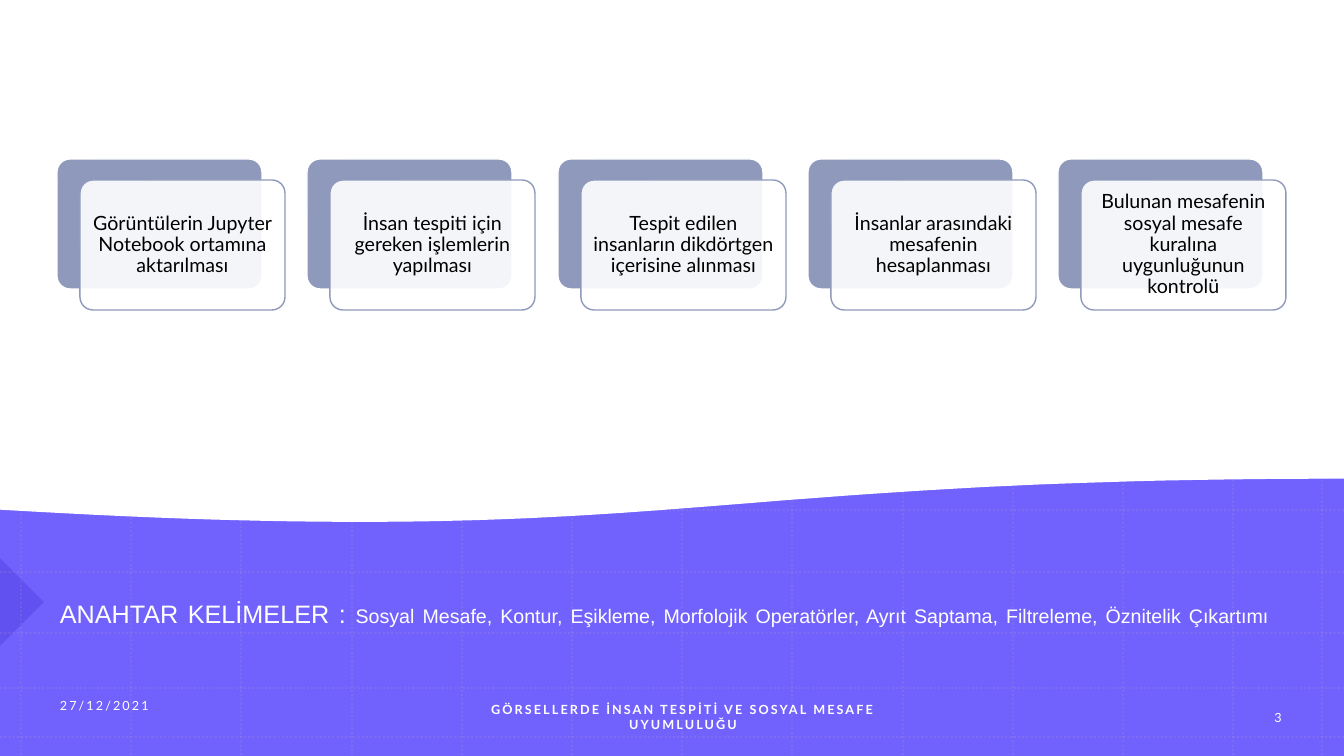
from lxml.etree import SubElement
from pptx import Presentation
from pptx.dml.color import RGBColor
from pptx.enum.dml import MSO_LINE
from pptx.enum.shapes import MSO_CONNECTOR, MSO_SHAPE
from pptx.enum.text import MSO_ANCHOR, PP_ALIGN
from pptx.oxml.ns import qn
from pptx.util import Emu, Pt

COLORS = {
    "violet": "7162FE",
    "navy": "1201AF",
    "grid": "B495C2",
    "slate": "8F99BB",
    "white": "FFFFFF",
    "black": "000000",
}
WIDTH, HEIGHT = 1344, 756
CARD_WIDTH, CARD_HEIGHT, CARD_PITCH = 205, 130, 250.3
STEPS = [
    "Görüntülerin Jupyter Notebook ortamına aktarılması",
    "İnsan tespiti için gereken işlemlerin yapılması",
    "Tespit edilen insanların dikdörtgen içerisine alınması",
    "İnsanlar arasındaki mesafenin hesaplanması",
    "Bulunan mesafenin sosyal mesafe kuralına uygunluğunun kontrolü",
]
KEYWORDS = ("Sosyal Mesafe, Kontur, Eşikleme, Morfolojik Operatörler, "
            "Ayrıt Saptama, Filtreleme, Öznitelik Çıkartımı\v")


class SlidePainter:
    scale = 914400 / 100.8
    font = "Lato"

    def __init__(self, slide):
        self.slide = slide

    def px(self, length):
        return Emu(round(length * self.scale))

    def color(self, name):
        return RGBColor.from_string(COLORS[name])

    def paint(self, fill_format, name, opacity=100):
        fill_format.solid()
        fill_format.fore_color.rgb = self.color(name)
        if opacity < 100:
            tint = fill_format._xPr.find(qn("a:solidFill"))[0]
            SubElement(tint, qn("a:alpha"), val=str(opacity * 1000))

    def style(self, shape, fill, opacity=100, line=None):
        shape.shadow.inherit = False
        self.paint(shape.fill, fill, opacity)
        if line:
            self.paint(shape.line.fill, line)
            shape.line.width = Pt(1)
        else:
            shape.line.fill.background()
        return shape

    def shape(self, kind, box, fill, opacity=100, line=None):
        shape = self.slide.shapes.add_shape(kind, *map(self.px, box))
        return self.style(shape, fill, opacity, line)

    def grid_line(self, x1, y1, x2, y2):
        rule = self.slide.shapes.add_connector(
            MSO_CONNECTOR.STRAIGHT, *map(self.px, (x1, y1, x2, y2)))
        self.paint(rule.line.fill, "grid", 20)
        rule.line.width = Pt(1.5)
        rule.line.dash_style = MSO_LINE.ROUND_DOT
        SubElement(rule._element.spPr, qn("a:effectLst"))

    def outline(self, points, fill):
        (x, y), *rest = [(round(a * 10), round(b * 10)) for a, b in points]
        builder = self.slide.shapes.build_freeform(x, y, scale=self.scale / 10)
        builder.add_line_segments(rest, close=True)
        return self.style(builder.convert_to_shape(), fill, line=fill)

    def set_text(self, shape, runs, align, color="white", font=None,
                 anchor=MSO_ANCHOR.MIDDLE, bold=False, spacing=0, leading=None):
        frame = shape.text_frame
        frame.word_wrap = True
        frame.vertical_anchor = anchor
        paragraph = frame.paragraphs[0]
        paragraph.alignment = align
        paragraph.line_spacing = leading
        paragraph.text = runs[0][0]
        for words, _ in runs[1:]:
            paragraph.add_run().text = words.rstrip("\v")
            if words.endswith("\v"):
                paragraph.add_line_break()
        for run, (_, size) in zip(paragraph.runs, runs):
            run.font.name = font or self.font
            run.font.size = Pt(size)
            run.font.bold = bold
            run.font.color.rgb = self.color(color)
            if spacing:
                run.font._element.set("spc", str(spacing))

    def text(self, box, runs, align, **options):
        label = self.slide.shapes.add_textbox(*map(self.px, box))
        self.set_text(label, runs, align, **options)

    def card(self, left, top, step):
        back = self.shape(MSO_SHAPE.ROUNDED_RECTANGLE,
                          (left, top, CARD_WIDTH, CARD_HEIGHT), "slate", line="white")
        front = self.shape(MSO_SHAPE.ROUNDED_RECTANGLE,
                           (left + 23, top + 21, CARD_WIDTH, CARD_HEIGHT),
                           "white", 90, "slate")
        for panel in (back, front):
            panel.adjustments[0] = 0.1
        frame = front.text_frame
        frame.margin_left = frame.margin_right = self.px(6)
        frame.margin_top = frame.margin_bottom = self.px(6)
        self.set_text(front, [(step, 14)], PP_ALIGN.CENTER, color="black", leading=0.9)


def wave_edge(segments=60):
    start, pull_right, pull_left, end = (1344, 478), (674, 478), (671, 549), (0, 509)
    for index in range(segments + 1):
        t = index / segments
        yield tuple(
            a * (1 - t) ** 3 + 3 * b * t * (1 - t) ** 2 + 3 * c * t ** 2 * (1 - t) + d * t ** 3
            for a, b, c, d in zip(start, pull_right, pull_left, end))


def main():
    presentation = Presentation()
    presentation.slide_width = Emu(round(WIDTH * SlidePainter.scale))
    presentation.slide_height = Emu(round(HEIGHT * SlidePainter.scale))
    painter = SlidePainter(presentation.slides.add_slide(presentation.slide_layouts[6]))

    painter.shape(MSO_SHAPE.RECTANGLE, (0, 0, WIDTH, HEIGHT), "violet")
    marker = painter.shape(MSO_SHAPE.RIGHT_TRIANGLE, (-31, 571, 62, 62), "navy", 17)
    marker.rotation = 225
    for x in [21 + round(column * 110.2) for column in range(12)] + [1322]:
        painter.grid_line(x, 0, x, HEIGHT)
    for y in (510, 572, 633, 688, 737):
        painter.grid_line(0, y, WIDTH, y)
    painter.outline([(0, 0), (WIDTH, 0), *wave_edge()], "white")

    painter.text((50, 597, 1230, 66), [("ANAHTAR KELİMELER : ", 18), (KEYWORDS, 14)],
                 PP_ALIGN.JUSTIFY, font="Arial", anchor=MSO_ANCHOR.TOP, leading=0.9)
    painter.text((50, 685, 282, 40), [("27/12/2021", 9)], PP_ALIGN.LEFT, spacing=150)
    painter.text((463, 697, 440, 40),
                 [("GÖRSELLERDE İNSAN TESPİTİ VE SOSYAL MESAFE UYUMLULUĞU", 9)],
                 PP_ALIGN.CENTER, bold=True, spacing=150)
    painter.text((1234, 698, 88, 40), [("3", 9)], PP_ALIGN.CENTER, spacing=150)

    for index, step in enumerate(STEPS):
        painter.card(57 + round(index * CARD_PITCH), 159, step)
    presentation.save("out.pptx")


if __name__ == "__main__":
    main()
